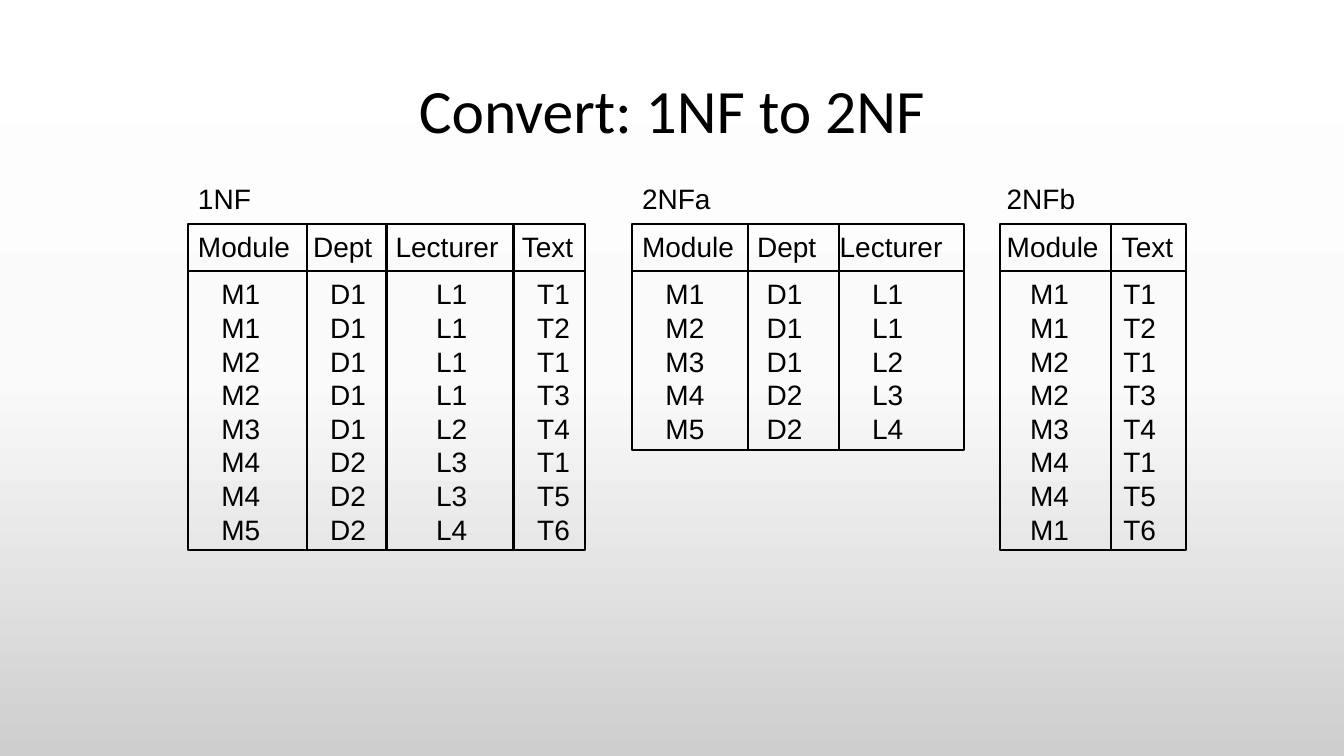
from copy import deepcopy
from dataclasses import dataclass

from lxml.etree import SubElement
from pptx import Presentation
from pptx.dml.color import RGBColor
from pptx.enum.shapes import MSO_CONNECTOR as Connector, MSO_SHAPE as Shape
from pptx.enum.text import MSO_ANCHOR as Anchor, PP_ALIGN as Align
from pptx.oxml.ns import qn
from pptx.util import Cm, Pt


@dataclass(frozen=True)
class Theme:
    ink: RGBColor = RGBColor(0, 0, 0)
    backdrop: tuple = (("FFFFFF", 0), ("FAFAFA", 0.5), ("CECECE", 1))
    title_font: str = "Calibri"
    body_font: str = "Arial"
    title_size: int = 44
    body_size: int = 20
    line_pitch: int = 24
    block_gap: int = 10
    rule: float = 1.5


@dataclass(frozen=True)
class Relation:
    """Lengths in cm; tabs are measured from the start of the text."""
    caption: str
    left: float
    text_left: float
    widths: tuple
    head_tabs: tuple
    body_tabs: tuple
    names: str
    rows: tuple


THEME = Theme()
TEXT_TOP, FRAME_TOP = 4.45, 5.64
HEAD_HEIGHT = 1.2

RELATIONS = (
    Relation("1NF", 4.74, 4.74, (3, 2, 3.2, 1.8),
             (2.9, 4.98, 8.16), (0.59, 3.33, 6, 8.55),
             "Module Dept Lecturer Text",
             ("M1 D1 L1 T1", "M1 D1 L1 T2", "M2 D1 L1 T1", "M2 D1 L1 T3",
              "M3 D1 L2 T4", "M4 D2 L3 T1", "M4 D2 L3 T5", "M5 D2 L4 T6")),
    Relation("2NFa", 15.93, 15.93, (2.92, 2.3, 3.14),
             (2.9, 4.98), (0.59, 3.14, 5.8),
             "Module Dept Lecturer",
             ("M1 D1 L1", "M2 D1 L1", "M3 D1 L2", "M4 D2 L3", "M5 D2 L4")),
    Relation("2NFb", 25.2, 25.12, (2.8, 1.9),
             (2.9,), (0.59, 2.94),
             "Module Text",
             ("M1 T1", "M1 T2", "M2 T1", "M2 T3",
              "M3 T4", "M4 T1", "M4 T5", "M1 T6")),
)


def apply(target, formats):
    for name, value in formats.items():
        setattr(target, name, value)


def write(para, text, font, size):
    span = para.add_run()
    span.text = text
    apply(span.font, {"name": font, "size": Pt(size)})
    span.font.color.rgb = THEME.ink


def paint_background(page):
    fill = page.background.fill
    fill.gradient()
    fill.gradient_angle = 270
    stops = page.element.xpath(".//a:gsLst")[0]
    stops.append(deepcopy(stops[-1]))
    for stop, (color, position) in zip(fill.gradient_stops, THEME.backdrop):
        stop.color.rgb = RGBColor.from_string(color)
        stop.position = position


def add_title(page, text, left, top, width, height):
    title = page.shapes.title
    apply(title, {"left": Cm(left), "top": Cm(top),
                  "width": Cm(width), "height": Cm(height)})
    title.text_frame.vertical_anchor = Anchor.MIDDLE
    para = title.text_frame.paragraphs[0]
    apply(para, {"alignment": Align.CENTER, "line_spacing": 0.9})
    write(para, text, THEME.title_font, THEME.title_size)


def add_line(frame, text, tabs, gap):
    """Add one table line whose values stand at the tab stops."""
    para = frame.add_paragraph()
    apply(para, {"line_spacing": Pt(THEME.line_pitch), "space_before": Pt(gap)})
    stops = SubElement(para._p.get_or_add_pPr(), qn("a:tabLst"))
    for tab in tabs:
        SubElement(stops, qn("a:tab"), pos=str(Cm(tab)), algn="l")
    write(para, text, THEME.body_font, THEME.body_size)


def add_text(group, relation, left, top, width, height):
    box = group.shapes.add_textbox(Cm(left), Cm(top), Cm(width), Cm(height))
    frame = box.text_frame
    apply(frame, {"word_wrap": True, "margin_right": 0})
    write(frame.paragraphs[0], relation.caption,
          THEME.body_font, THEME.body_size)
    add_line(frame, "\t".join(relation.names.split()), relation.head_tabs,
             THEME.block_gap)
    for number, row in enumerate(relation.rows):
        add_line(frame, "\t" + "\t".join(row.split()), relation.body_tabs,
                 0 if number else THEME.block_gap)


def draw_outline(line):
    line.width = Pt(THEME.rule)
    line.color.rgb = THEME.ink


def add_rule(group, *ends):
    rule = group.shapes.add_connector(Connector.STRAIGHT, *map(Cm, ends))
    draw_outline(rule.line)
    SubElement(rule._element.spPr, qn("a:effectLst"))


def add_grid(group, left, top, widths, height):
    right, bottom = left + sum(widths), top + height
    border = group.shapes.add_shape(Shape.RECTANGLE, Cm(left), Cm(top),
                                    Cm(right - left), Cm(height))
    border.shadow.inherit = False
    border.fill.background()
    draw_outline(border.line)
    add_rule(group, left, top + HEAD_HEIGHT, right, top + HEAD_HEIGHT)
    x = left
    for width in widths[:-1]:
        x += width
        add_rule(group, x, top, x, bottom)


def add_relation(page, relation):
    group = page.shapes.add_group_shape()
    lines = len(relation.rows) + 2
    text_height = Pt(lines * THEME.line_pitch + 2 * THEME.block_gap).cm + 0.25
    bottom = TEXT_TOP + text_height
    add_text(group, relation, relation.text_left, TEXT_TOP,
             sum(relation.widths), text_height)
    add_grid(group, relation.left, FRAME_TOP, relation.widths,
             bottom - FRAME_TOP)


def main():
    deck = Presentation()
    apply(deck, {"slide_width": Cm(33.87), "slide_height": Cm(19.05)})
    page = deck.slides.add_slide(deck.slide_layouts[5])
    paint_background(page)
    add_title(page, "Convert: 1NF to 2NF", 2.33, 1.01, 29.21, 3.68)
    for relation in RELATIONS:
        add_relation(page, relation)
    deck.save("out.pptx")


if __name__ == "__main__":
    main()
